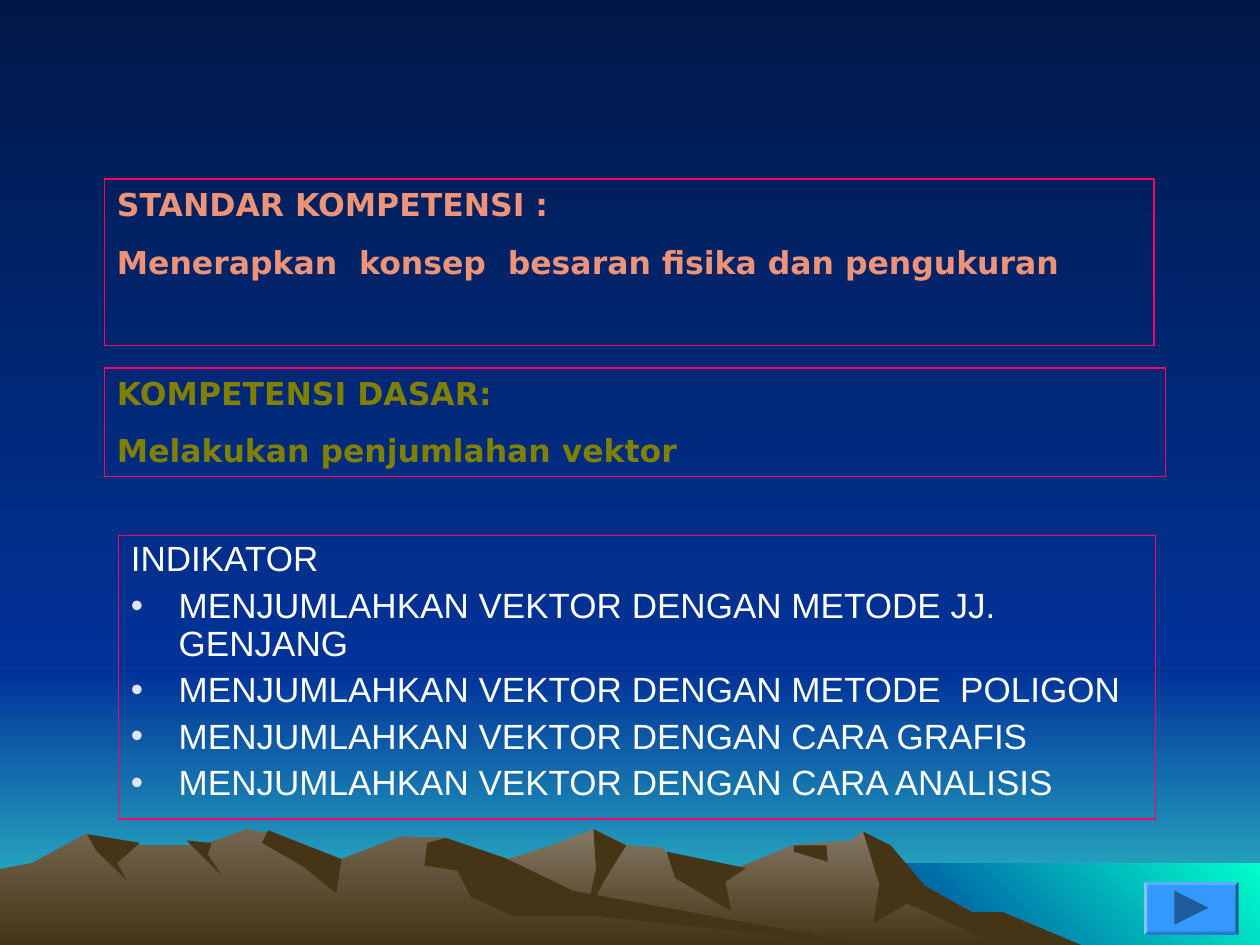
from lxml import etree
from pptx import Presentation
from pptx.dml.color import RGBColor
from pptx.enum.shapes import MSO_SHAPE
from pptx.enum.text import MSO_ANCHOR, PP_ALIGN
from pptx.oxml.ns import qn
from pptx.util import Inches, Pt

RECT, BEVEL = MSO_SHAPE.RECTANGLE, MSO_SHAPE.BEVEL
TRIANGLE = MSO_SHAPE.ISOSCELES_TRIANGLE
TOP, LEFT = MSO_ANCHOR.TOP, PP_ALIGN.LEFT

W, H = 10, 7.5
HORIZON, SHORE = 5.33, 6.85
DOWN, UP_RIGHT = 270, 45

C = dict(night="001847", blue="003399", horizon="33CCCC", sea="00FFCC",
         rock="847864", rock_mid="73654F", shade="463416", frame="FF0066",
         salmon="ED9377", olive="808000", white="FFFFFF", bullet="E3E3FF",
         button="3399FF", arrow="1F5C99")

# Backdrop bands: left, top, gradient colours, angle; each runs to the slide's corner
BANDS = [
    (0, 0, ("night", "blue"), DOWN),
    (0, HORIZON, ("blue", "horizon"), DOWN),
    (6.83, SHORE, ("blue", "sea"), UP_RIGHT),
]

# Mountains, back to front: fill colours and outline in hundredths of an inch
SHADE = ("shade",)
MOUNTAINS = [
    # right range and its shaded faces
    (("rock", "shade"), [
        (258, 750), (394, 685), (438, 671), (471, 658), (497, 671), (526, 673),
        (536, 690), (566, 697), (629, 671), (676, 667), (685, 660), (723, 698),
        (820, 750)]),
    (SHADE, [
        (685, 660), (707, 671), (734, 703), (771, 724), (796, 724), (858, 750),
        (792, 750), (720, 717), (693, 733), (698, 702)]),
    (SHADE, [(471, 658), (497, 671), (479, 700), (465, 727), (473, 690)]),
    (SHADE, [(529, 676), (592, 689), (576, 700), (580, 723), (536, 697)]),
    (SHADE, [(630, 671), (656, 671), (657, 684), (630, 676)]),
    # left range and its shaded faces
    (("rock_mid", "shade"), [
        (0, 750), (0, 690), (26, 685), (68, 662), (94, 671), (160, 671),
        (196, 658), (223, 663), (271, 682), (318, 664), (354, 665), (432, 712),
        (690, 750)]),
    (SHADE, [(213, 659), (271, 682), (267, 709), (241, 688), (208, 669)]),
    (SHADE, [
        (339, 669), (354, 665), (401, 681), (455, 707), (690, 750), (472, 727),
        (407, 727), (374, 712), (363, 691), (337, 687)]),
    (SHADE, [(148, 667), (168, 669), (165, 678), (176, 695)]),
    (SHADE, [(69, 662), (111, 669), (93, 685), (100, 698), (77, 676)]),
]

# Framed texts: box, (font, size, bold, colour), (space before, line spacing), lines
INDICATORS = ((0.94, 4.25, 8.23, 2.25), ("Arial", 20, False, "white"), (5, 0.9), [
    "INDIKATOR",
    "MENJUMLAHKAN VEKTOR DENGAN METODE JJ. GENJANG",
    "MENJUMLAHKAN VEKTOR DENGAN METODE  POLIGON",
    "MENJUMLAHKAN VEKTOR DENGAN CARA GRAFIS",
    "MENJUMLAHKAN VEKTOR DENGAN CARA ANALISIS"])
STANDARD = ((0.83, 1.42, 8.33, 1.32), ("DejaVu Sans", 18, True, "salmon"), (11.2, 1.0), [
    "STANDAR KOMPETENSI :",
    "Menerapkan  konsep  besaran fisika dan pengukuran"])
BASIC = ((0.83, 2.92, 8.42, 0.86), ("DejaVu Sans", 18, True, "olive"), (11.2, 1.0), [
    "KOMPETENSI DASAR:",
    "Melakukan penjumlahan vektor"])

NEXT_BUTTON = (9.08, 7, 0.75, 0.42)
NEXT_ARROW = (9.32, 7.07, 0.27, 0.27)


def rgb(name):
    return RGBColor.from_string(C[name])


def paint(fill, colors, angle=DOWN):
    if len(colors) == 1:
        fill.solid()
        fill.fore_color.rgb = rgb(colors[0])
        return
    fill.gradient()
    fill.gradient_angle = angle
    for stop, name in zip(fill.gradient_stops, colors):
        stop.color.rgb = rgb(name)


def add_preset(s, kind, box):
    sp = s.shapes.add_shape(kind, *map(Inches, box))
    sp.shadow.inherit = False
    sp.line.fill.background()
    return sp


def add_outline(s, points, colors):
    builder = s.shapes.build_freeform(*points[0], scale=Inches(0.01))
    builder.add_line_segments(points[1:], close=True)
    sp = builder.convert_to_shape()
    sp.shadow.inherit = False
    sp.line.fill.background()
    paint(sp.fill, colors)


def add_bullet(p):
    pPr = p._p.get_or_add_pPr()
    pPr.set("marL", str(Inches(0.38)))
    pPr.set("indent", str(-Inches(0.38)))
    color = etree.SubElement(pPr, qn("a:buClr"))
    etree.SubElement(color, qn("a:srgbClr"), val=C["bullet"])
    etree.SubElement(pPr, qn("a:buFont"), typeface="Arial")
    etree.SubElement(pPr, qn("a:buChar"), char="•")


def add_framed_text(s, box, style, spacing, lines):
    sp = add_preset(s, RECT, box)
    sp.fill.background()
    sp.line.color.rgb = rgb("frame")
    sp.line.width = Pt(0.75)
    tf = sp.text_frame
    tf.word_wrap = True
    tf.vertical_anchor = TOP
    tf.text = "\n".join(lines)
    font, size, bold, color = style
    before, line = spacing
    for p in tf.paragraphs:
        p.alignment = LEFT
        p.space_before, p.line_spacing = Pt(before), line
        f = p.runs[0].font
        f.name, f.size, f.bold = font, Pt(size), bold
        f.color.rgb = rgb(color)
    return tf


prs = Presentation()
prs.slide_width, prs.slide_height = Inches(W), Inches(H)
s = prs.slides.add_slide(prs.slide_layouts[6])

# Backdrop
paint(s.background.fill, ("night", "blue"))
for left, top, colors, angle in BANDS:
    bottom = HORIZON if top < HORIZON else H
    band = add_preset(s, RECT, (left, top, W - left, bottom - top))
    paint(band.fill, colors, angle)
for colors, points in MOUNTAINS:
    add_outline(s, points, colors)

# Framed texts
tf = add_framed_text(s, *INDICATORS)
for p in tf.paragraphs[1:]:
    add_bullet(p)
for block in (STANDARD, BASIC):
    add_framed_text(s, *block)

# Next button
button = add_preset(s, BEVEL, NEXT_BUTTON)
button.adjustments[0] = 0.06
paint(button.fill, ("button",))
arrow = add_preset(s, TRIANGLE, NEXT_ARROW)
arrow.rotation = 90
paint(arrow.fill, ("arrow",))

prs.save("out.pptx")
